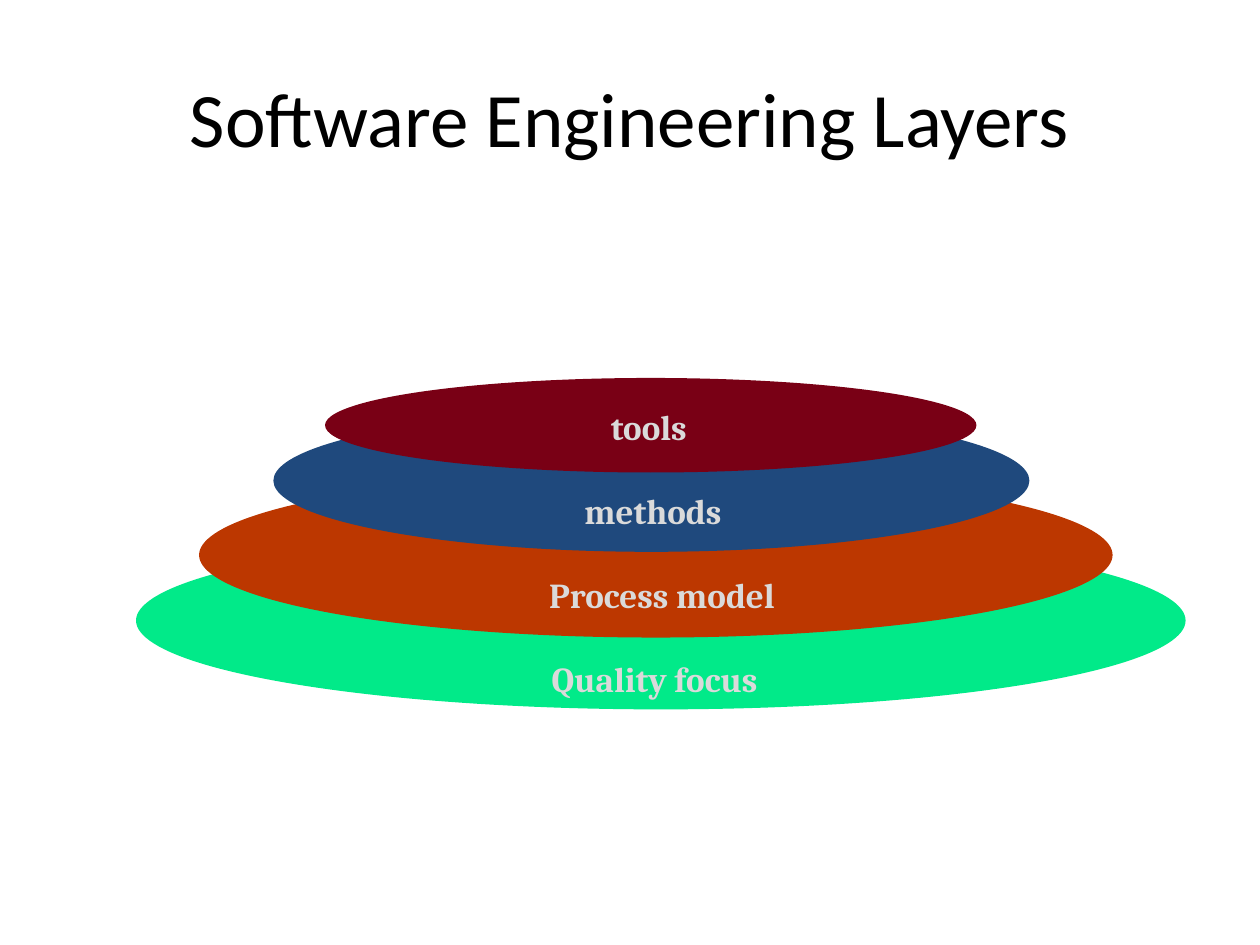
from pptx import Presentation
from pptx.dml.color import RGBColor
from pptx.enum.shapes import MSO_SHAPE
from pptx.enum.text import MSO_ANCHOR, PP_ALIGN
from pptx.util import Inches, Pt

OVAL = MSO_SHAPE.OVAL
MIDDLE = MSO_ANCHOR.MIDDLE
LEFT, CENTER = PP_ALIGN.LEFT, PP_ALIGN.CENTER

COLORS = {
    "title": "000000",
    "label": "DADADA",
    "tools": "790015",
    "methods": "1F497D",
    "process": "BC3700",
    "quality": "01EA89",
}
TITLE = "Software Engineering Layers"
TITLE_BOX = (0.5, 0.3, 9, 1.25)
LAYERS = [
    ("tools", "tools", (2.58, 3, 5.17, 0.75), 4.75, 0.82),
    ("methods", "methods", (2.17, 3.25, 6, 1.13), 4.54, 1.3),
    ("Process model", "process", (1.58, 3.75, 7.25, 1.31), 4.26, 2.01),
    ("Quality focus", "quality", (1.08, 4.22, 8.33, 1.41), 4.28, 1.92),
]
LABEL_TOP, LABEL_HEIGHT = 3.17, 0.43
LABEL_PITCH = 2 / 3


def inches(box):
    return [Inches(value) for value in box]


def add_text(slide, text, box, font_name, size, color, bold=False, align=LEFT, wrap=False):
    shape = slide.shapes.add_textbox(*inches(box))
    frame = shape.text_frame
    frame.word_wrap = wrap
    paragraph = frame.paragraphs[0]
    paragraph.text = text
    paragraph.alignment = align
    font = paragraph.font
    font.name, font.size, font.bold = font_name, Pt(size), bold
    font.color.rgb = RGBColor.from_string(COLORS[color])
    return frame


def add_ellipse(slide, box, color):
    shape = slide.shapes.add_shape(OVAL, *inches(box))
    shape.shadow.inherit = False
    shape.fill.solid()
    shape.fill.fore_color.rgb = RGBColor.from_string(COLORS[color])
    shape.line.fill.background()


def main():
    presentation = Presentation()
    presentation.slide_width, presentation.slide_height = Inches(10), Inches(7.5)
    slide = presentation.slides.add_slide(presentation.slide_layouts[6])

    title = add_text(slide, TITLE, TITLE_BOX, "Calibri", 44, "title", align=CENTER, wrap=True)
    title.vertical_anchor = MIDDLE

    for _, color, box, _, _ in reversed(LAYERS):
        add_ellipse(slide, box, color)
    for row, (label, _, _, left, width) in enumerate(LAYERS):
        box = (left, LABEL_TOP + row * LABEL_PITCH, width, LABEL_HEIGHT)
        add_text(slide, label, box, "Cambria", 20, "label", bold=True)

    presentation.save("out.pptx")


if __name__ == "__main__":
    main()
